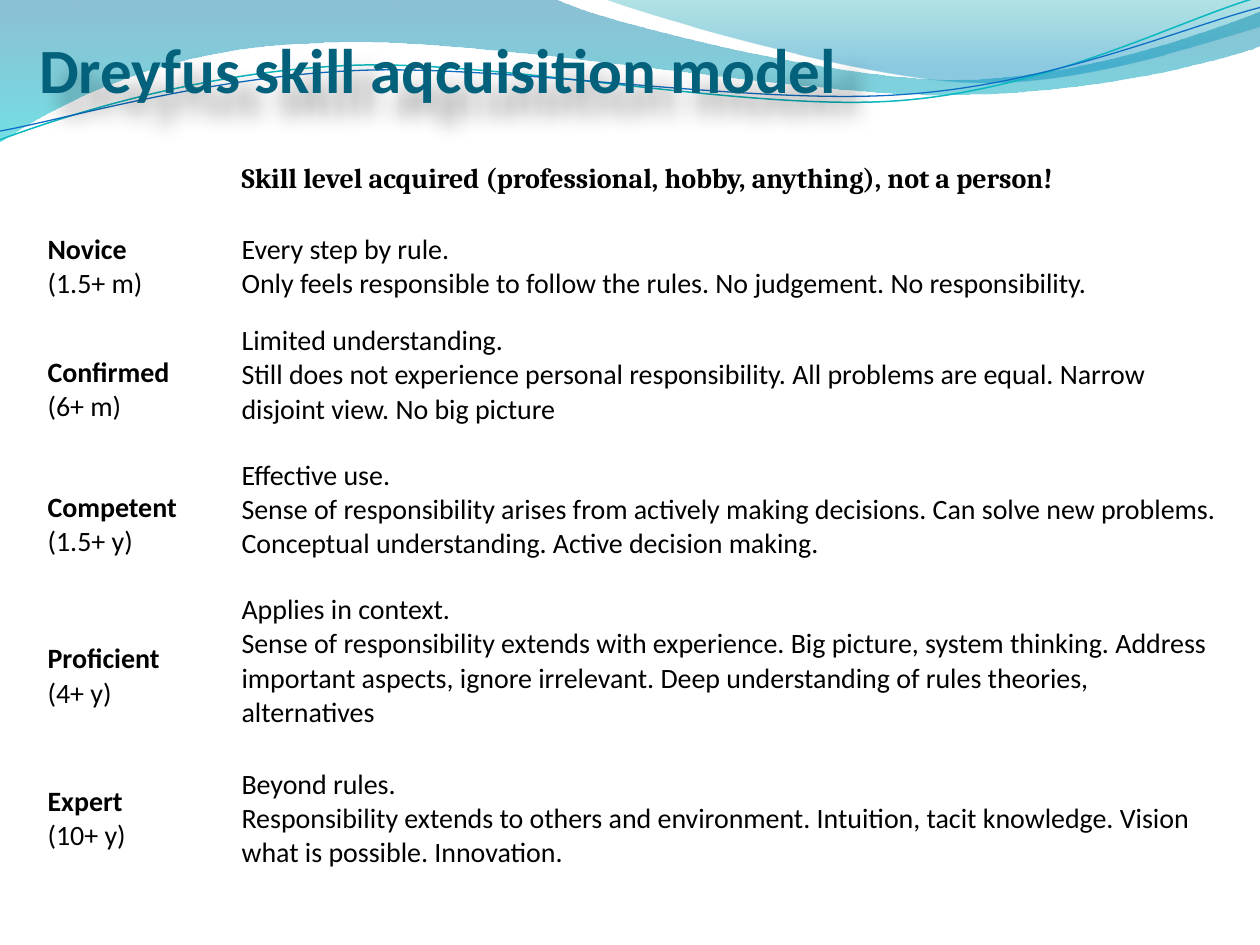
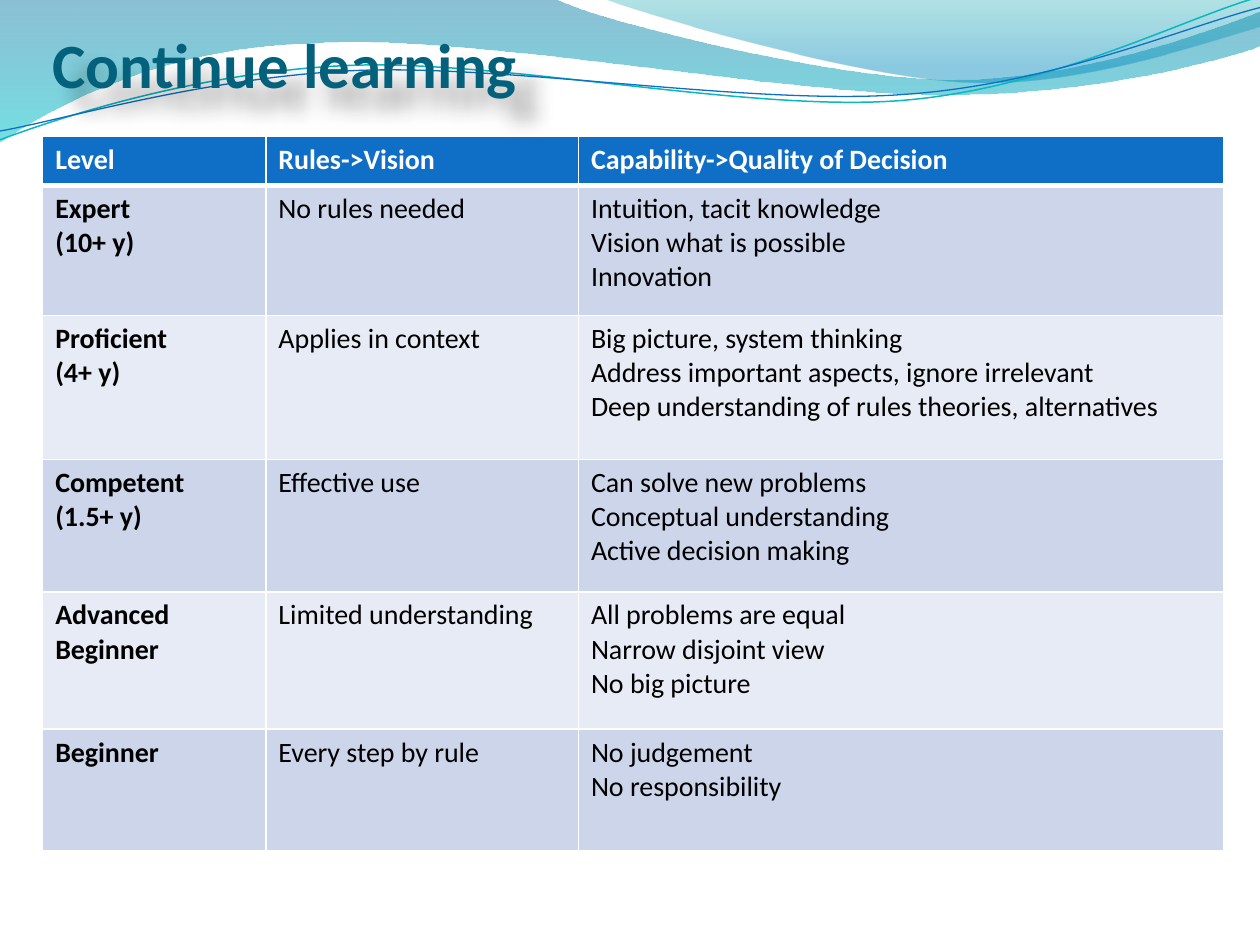
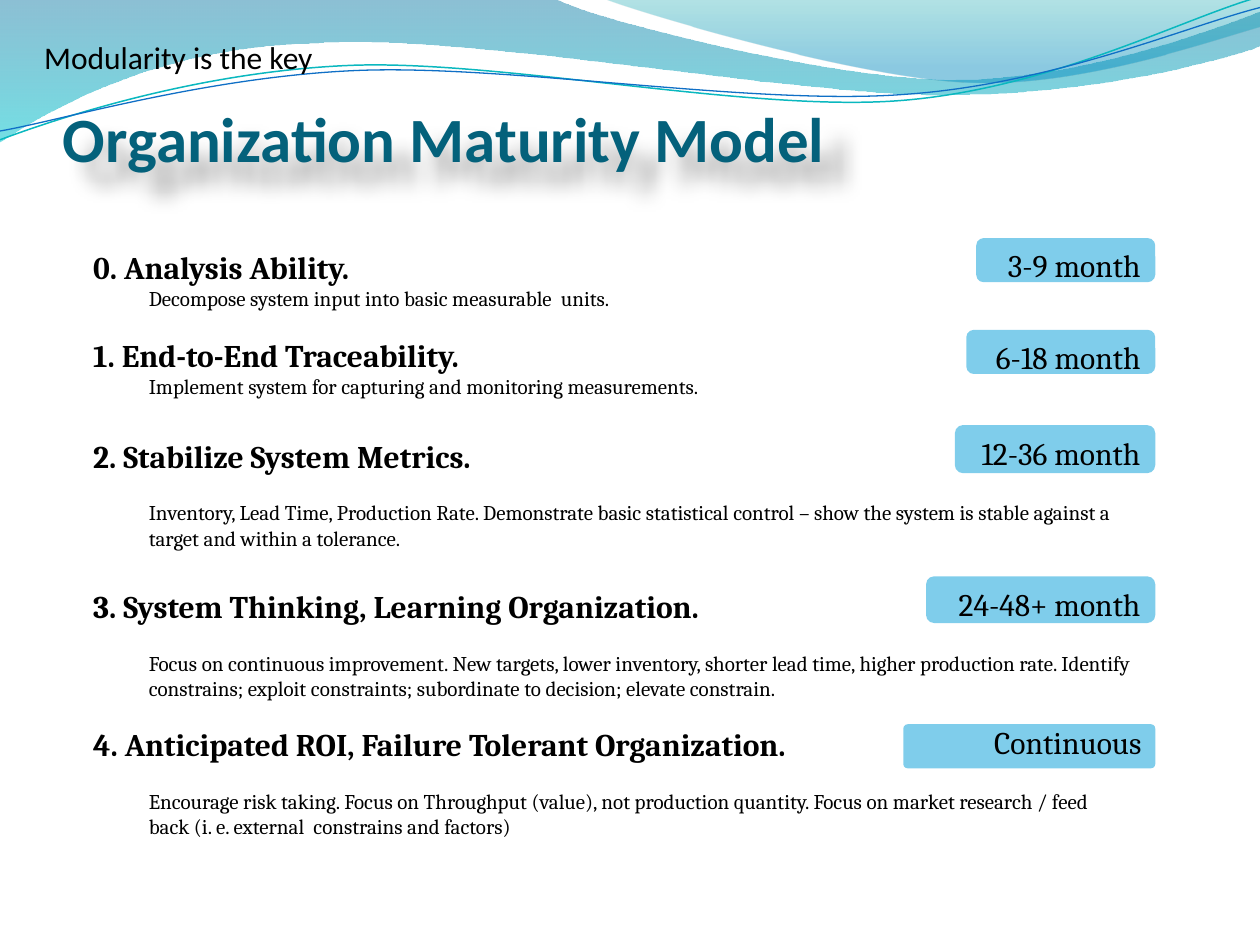
import pptx
import pptx.util
import pptx.dml.color
import pptx.enum.shapes
import pptx.enum.text
import pptx.oxml.ns
from lxml import etree

Cm = pptx.util.Cm
Pt = pptx.util.Pt
RGBColor = pptx.dml.color.RGBColor
qn = pptx.oxml.ns.qn
ANCHOR = pptx.enum.text.MSO_ANCHOR
ALIGN = pptx.enum.text.PP_ALIGN
SHAPE = pptx.enum.shapes.MSO_SHAPE

# Colours and fonts
BLACK = RGBColor(0x00, 0x00, 0x00)
WHITE = RGBColor(0xFF, 0xFF, 0xFF)
TITLE = RGBColor(0x04, 0x61, 0x7B)
BLUE = RGBColor(0x0F, 0x6F, 0xC6)
TEAL = RGBColor(0x0A, 0xB8, 0xBF)
BADGE = RGBColor(0x00, 0x9D, 0xD9)
BAND_DARK = RGBColor(0xCC, 0xD5, 0xEA)
BAND_LIGHT = RGBColor(0xE7, 0xEB, 0xF5)
WAVE_BLUE = RGBColor(0x00, 0x74, 0xA1)
WAVE_TEAL = RGBColor(0x00, 0xC6, 0xCF)
CREST_TEAL = RGBColor(0x00, 0xA1, 0xA9)
CREST_BLUE = RGBColor(0x00, 0x8B, 0xBF)
SANS, SERIF = "Calibri", "Cambria"

# Wave outlines in tenths of the slide width: a pair is a straight step,
# six numbers are a Bezier curve (two controls and the end)
WAVE = [(0, 0), (4.4, -0.01), (4.76, 0.17, 6.64, 0.63, 7.58, 0.63),
        (8.53, 0.63, 9.58, 0.26, 10, 0.09), (10.01, 0.36),
        (9.83, 0.44, 8.7, 0.76, 7.46, 0.75), (6.22, 0.75, 3.82, 0.28, 2.57, 0.34),
        (1.29, 0.36, 0.46, 0.83, -0.01, 1.13)]
CREST = [(4.79, -0.01), (5.09, 0.11, 6.82, 0.62, 7.69, 0.65),
         (8.56, 0.69, 9.61, 0.32, 10, 0.21), (10, 0)]
TEAL_CURVE = [(0, 1.11), (0.48, 0.93, 1.58, 0.57, 2.77, 0.52),
              (3.95, 0.47, 5.93, 0.89, 7.13, 0.8), (8.33, 0.71, 9.38, 0.15, 9.98, -0.02)]
BLUE_CURVE = [(0, 1.04), (0.47, 0.96, 1.64, 0.61, 2.83, 0.56),
              (4.03, 0.51, 5.97, 0.84, 7.17, 0.75), (8.36, 0.67, 9.41, 0.21, 10, 0.06)]

# Slide 1: level, time, description, whether the description sits higher, row height
SKILLS = [
    ("Novice", "(1.5+ m)", "Every step by rule.\nOnly feels responsible to follow the rules. "
     "No judgement. No responsibility.", False, 2.26),
    ("Confirmed", "(6+ m)", "Limited understanding.\nStill does not experience personal "
     "responsibility. All problems are equal. Narrow disjoint view. No big picture", True, 2.7),
    ("Competent", "(1.5+ y)", "Effective use.\nSense of responsibility arises from actively "
     "making decisions. Can solve new problems. Conceptual understanding. "
     "Active decision making.", True, 2.72),
    ("Proficient", "(4+ y)", "Applies in context.\nSense of responsibility extends with "
     "experience. Big picture, system thinking. Address important aspects, ignore irrelevant. "
     "Deep understanding of rules theories, alternatives", True, 3.4),
    ("Expert", "(10+ y)", "Beyond rules.\nResponsibility extends to others and environment. "
     "Intuition, tacit knowledge. Vision what is possible. Innovation.", False, 2.35),
]

# Slide 2: row height, then the cells
LEARNING = [
    (0.99, "Level", "Rules->Vision", "Capability->Quality of Decision"),
    (2.62, "Expert\n(10+ y)", "No rules needed",
     "Intuition, tacit knowledge\nVision what is possible\nInnovation"),
    (2.9, "Proficient\n(4+ y)", "Applies in context",
     "Big picture, system thinking\nAddress important aspects, ignore irrelevant\n"
     "Deep understanding of rules theories, alternatives"),
    (2.67, "Competent\n(1.5+ y)", "Effective use",
     "Can solve new problems\nConceptual understanding\nActive decision making"),
    (2.77, "Advanced Beginner", "Limited understanding",
     "All problems are equal\nNarrow disjoint view\nNo big picture"),
    (2.46, "Beginner", "Every step by rule", "No judgement\nNo responsibility"),
]

# Slide 3: heading, space before it, description, space before it
STAGES = [
    ("0. Analysis Ability.", 0, "Decompose system input into basic measurable  units.", 0),
    ("1. End-to-End Traceability.", 14.5,
     "Implement system for capturing and monitoring measurements.", 0),
    ("2. Stabilize System Metrics.", 21.5,
     "Inventory, Lead Time, Production Rate. Demonstrate basic statistical control – "
     "show the system is stable against a target and within a tolerance.", 14.5),
    ("3. System Thinking, Learning Organization.", 21,
     "Focus on continuous improvement. New targets, lower inventory, shorter lead time, "
     "higher production rate. Identify constrains; exploit constraints; subordinate to "
     "decision; elevate constrain.", 14.5),
    ("4. Anticipated ROI, Failure Tolerant Organization.", 14,
     "Encourage risk taking. Focus on Throughput (value), not production quantity. "
     "Focus on market research / feed back (i. e. external  constrains and factors)", 14.5),
]
# Badge text, top, width, height, corner, anchor
BADGES = [
    ("3-9 month", 4.8, 3.61, 0.89, 0.17, ANCHOR.TOP),
    ("6-18 month", 6.65, 3.81, 0.89, 0.17, ANCHOR.TOP),
    ("12-36 month", 8.57, 4.04, 0.97, 0.17, ANCHOR.TOP),
    ("24-48+ month", 11.62, 4.62, 0.94, 0.17, ANCHOR.TOP),
    ("Continuous", 14.6, 5.08, 0.89, 0.1, ANCHOR.BOTTOM),
]


# Text helpers
def add_text(p, text, size, font=SANS, color=BLACK, bold=False):
    """Add one run for each line, with line breaks of the same size between."""
    for i, line in enumerate(text.split("\n")):
        if i or p.runs:
            p.add_line_break()
            etree.SubElement(p._p[-1], qn("a:rPr"), sz=str(size * 100))
        r = p.add_run()
        r.text = line
        r.font.size = Pt(size)
        r.font.name = font
        r.font.bold = bold
        r.font.color.rgb = color


def add_textbox(slide, box):
    sp = slide.shapes.add_textbox(*map(Cm, box))
    sp.text_frame.word_wrap = True
    return sp


def set_alpha(sp, *percents):
    for color, percent in zip(sp.element.iter(qn("a:srgbClr")), percents):
        etree.SubElement(color, qn("a:alpha"), val=str(percent * 1000))


# Shared wave band
def add_outline(slide, steps, unit, close):
    ends = [(step[-2] * unit, step[-1] * unit) for step in steps]
    builder = slide.shapes.build_freeform(*ends[0])
    builder.add_line_segments(ends[1:], close=close)
    sp = builder.convert_to_shape()
    sp.shadow.inherit = False
    # Bend the straight steps that have control points
    for step, segment in zip(steps[1:], list(sp.element.iter(qn("a:lnTo")))):
        if len(step) == 6:
            curve = etree.Element(qn("a:cubicBezTo"))
            for x, y in zip(step[::2], step[1::2]):
                etree.SubElement(curve, qn("a:pt"), x=str(round(x * unit) - sp.left),
                                 y=str(round(y * unit) - sp.top))
            segment.getparent().replace(segment, curve)
    return sp


def add_wave_fill(slide, steps, unit, stops):
    sp = add_outline(slide, steps, unit, True)
    sp.line.fill.background()
    sp.fill.gradient()
    sp.fill.gradient_angle = 270
    for gs, (position, color, _) in zip(sp.fill.gradient_stops, stops):
        gs.position = position
        gs.color.rgb = color
    set_alpha(sp, *[alpha for _, _, alpha in stops])
    return sp


def add_wave_line(slide, steps, unit, color, width):
    sp = add_outline(slide, steps, unit, False)
    sp.fill.background()
    sp.line.color.rgb = color
    sp.line.width = Pt(width)
    return sp


def move_waves_to_layout(slide, width):
    """Draw the waves once and hand them to the layout all slides use."""
    layout = slide.slide_layout
    for ph in list(layout.placeholders):
        ph.element.getparent().remove(ph.element)
    unit = width / 10
    waves = [
        add_wave_fill(slide, WAVE, unit, [(0, WAVE_BLUE, 45), (1, WAVE_TEAL, 55)]),
        add_wave_fill(slide, CREST, unit, [(0, CREST_TEAL, 30), (0.8, CREST_BLUE, 45)]),
        add_wave_line(slide, TEAL_CURVE, unit, TEAL, 0.85),
        add_wave_line(slide, BLUE_CURVE, unit, BLUE, 0.75),
    ]
    for sp in waves:
        layout.shapes.element.append(sp.element)


# Shared title with a soft shadow
def add_title(slide, text, box):
    sp = add_textbox(slide, box)
    tf = sp.text_frame
    tf.vertical_anchor = ANCHOR.BOTTOM
    tf.margin_left = tf.margin_right = tf.margin_bottom = 0
    add_text(tf.paragraphs[0], text, 36, color=TITLE, bold=True)
    effects = etree.SubElement(sp.element.spPr, qn("a:effectLst"))
    shadow = etree.SubElement(
        effects, qn("a:outerShdw"), blurRad=str(Cm(0.4)), dist=str(Cm(0.6)),
        dir=str(45 * 60000), algn="tl", rotWithShape="0")
    color = etree.SubElement(shadow, qn("a:srgbClr"), val=str(BLACK))
    etree.SubElement(color, qn("a:alpha"), val="35000")


# Tables
def style_cell(cell, fill, bottom=1):
    tc_pr = cell._tc.get_or_add_tcPr()
    for side, width in (("L", 1), ("R", 1), ("T", 1), ("B", bottom)):
        ln = etree.SubElement(tc_pr, qn("a:ln" + side), w=str(Pt(width)))
        solid = etree.SubElement(ln, qn("a:solidFill"))
        etree.SubElement(solid, qn("a:srgbClr"), val=str(WHITE))
    cell.fill.solid()
    cell.fill.fore_color.rgb = fill


def add_grid(slide, left, top, widths, heights):
    table = slide.shapes.add_table(
        len(heights), len(widths), Cm(left), Cm(top),
        Cm(sum(widths)), Cm(sum(heights))).table
    for column, width in zip(table.columns, widths):
        column.width = Cm(width)
    for row, height in zip(table.rows, heights):
        row.height = Cm(height)
    return table


def add_skill_table(slide, left, top):
    table = add_grid(slide, left, top, (3.91, 19.91), [1.27] + [s[-1] for s in SKILLS])
    table.first_row = table.horz_banding = False
    for cell in table.iter_cells():
        style_cell(cell, WHITE)
        cell.vertical_anchor = ANCHOR.MIDDLE
        cell.margin_left, cell.margin_right = Cm(0.18), Cm(0.03)
        cell.margin_top, cell.margin_bottom = Cm(0.03), 0
    add_text(table.cell(0, 1).text_frame.paragraphs[0],
             "Skill level acquired (professional, hobby, anything), not a person!",
             16, font=SERIF, bold=True)
    for i, (level, time, text, raised, _) in enumerate(SKILLS, 1):
        name, description = table.cell(i, 0), table.cell(i, 1)
        p = name.text_frame.paragraphs[0]
        add_text(p, level, 16, bold=True)
        add_text(p, time, 16)
        add_text(description.text_frame.paragraphs[0], text, 16)
        if raised:
            description.margin_bottom = Cm(0.6)


def add_learning_table(slide, left, top):
    table = add_grid(slide, left, top, (4.5, 6.3, 13), [row[0] for row in LEARNING])
    for i, (_, *texts) in enumerate(LEARNING):
        header = i == 0
        fill = BLUE if header else (BAND_LIGHT, BAND_DARK)[i % 2]
        for j, text in enumerate(texts):
            cell = table.cell(i, j)
            style_cell(cell, fill, bottom=3 if header else 1)
            add_text(cell.text_frame.paragraphs[0], text, 16,
                     color=WHITE if header else BLACK, bold=header or j == 0)


# Maturity stages
def add_badges(slide, right):
    for text, top, width, height, corner, anchor in BADGES:
        sp = slide.shapes.add_shape(SHAPE.ROUNDED_RECTANGLE, Cm(right - width), Cm(top),
                                    Cm(width), Cm(height))
        sp.adjustments[0] = corner
        sp.shadow.inherit = False
        sp.fill.solid()
        sp.fill.fore_color.rgb = BADGE
        set_alpha(sp, 50)
        sp.line.fill.background()
        tf = sp.text_frame
        tf.vertical_anchor = anchor
        p = tf.paragraphs[0]
        p.alignment = ALIGN.RIGHT
        add_text(p, text, 18, font=SERIF)


def add_stages(slide, box):
    tf = add_textbox(slide, box).text_frame
    for i, (heading, heading_gap, text, text_gap) in enumerate(STAGES):
        p = tf.add_paragraph() if i else tf.paragraphs[0]
        p.space_before = Pt(heading_gap)
        add_text(p, heading, 18, font=SERIF, bold=True)
        p = tf.add_paragraph()
        p.level = 1
        p.space_before = Pt(text_gap)
        p._p.get_or_add_pPr().set("marL", str(Cm(1.12)))
        add_text(p, text, 12, font=SERIF)


# Slides
def build_skill_slide(slide):
    add_skill_table(slide, 0.78, 2.97)
    add_title(slide, "Dreyfus skill aqcuisition model", (0.79, -0.64, 22.86, 2.77))


def build_learning_slide(slide):
    add_learning_table(slide, 0.86, 2.75)
    add_title(slide, "Continue learning", (1.06, 0.2, 22.86, 1.83))


def build_maturity_slide(slide):
    add_title(slide, "Organization Maturity Model", (1.27, 0.76, 22.86, 2.77))
    subtitle = add_textbox(slide, (0.64, 0.64, 12.7, 1.02))
    add_text(subtitle.text_frame.paragraphs[0], "Modularity is the key", 18)
    add_badges(slide, 23.29)
    add_stages(slide, (1.63, 4.87, 21.46, 13.08))


def main():
    prs = pptx.Presentation()
    prs.slide_width, prs.slide_height = Cm(25.4), Cm(19.05)
    blank = prs.slide_layouts[6]
    builders = (build_skill_slide, build_learning_slide, build_maturity_slide)
    slides = [prs.slides.add_slide(blank) for _ in builders]
    move_waves_to_layout(slides[0], prs.slide_width)
    for build, slide in zip(builders, slides):
        build(slide)
    prs.save("out.pptx")


if __name__ == "__main__":
    main()
